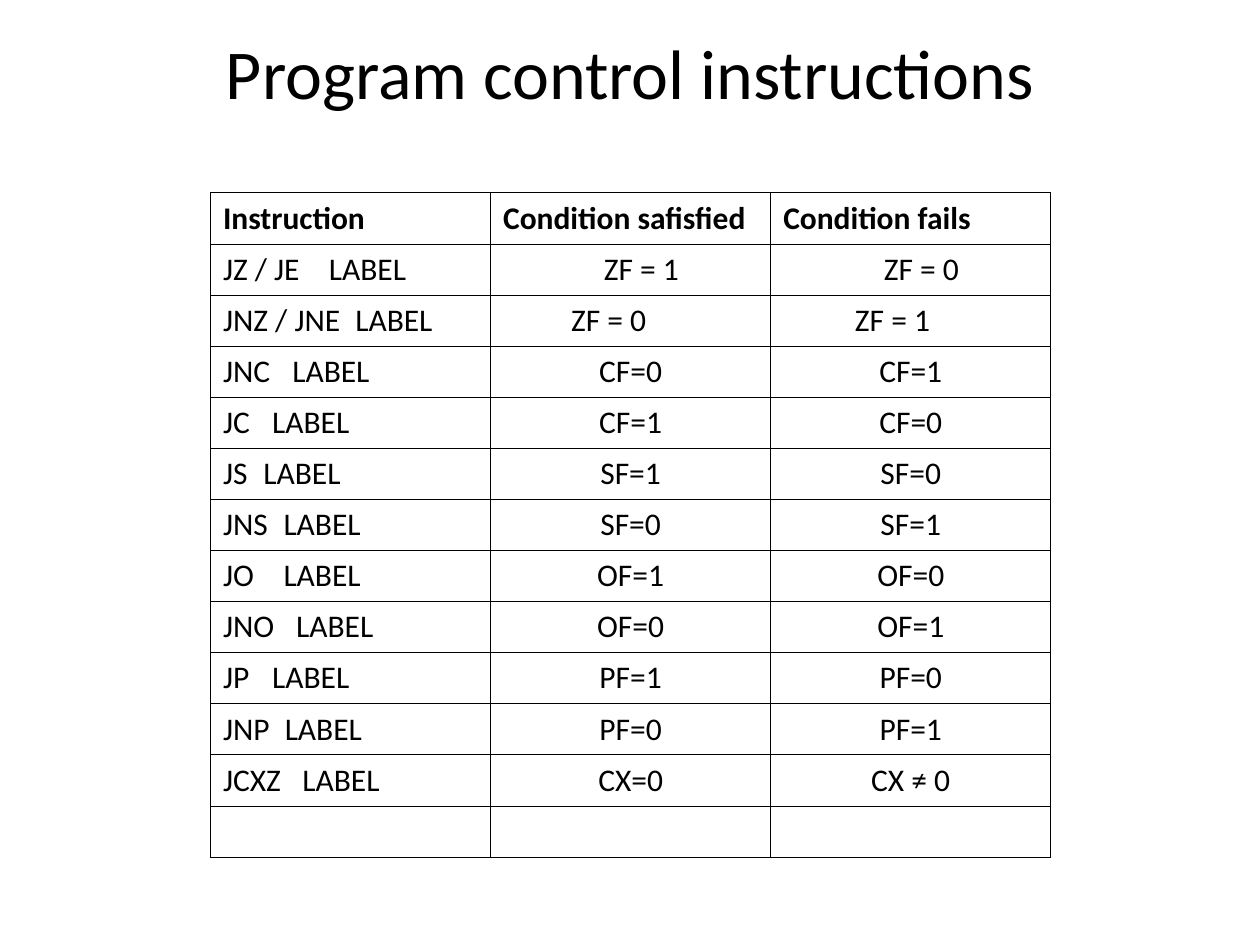
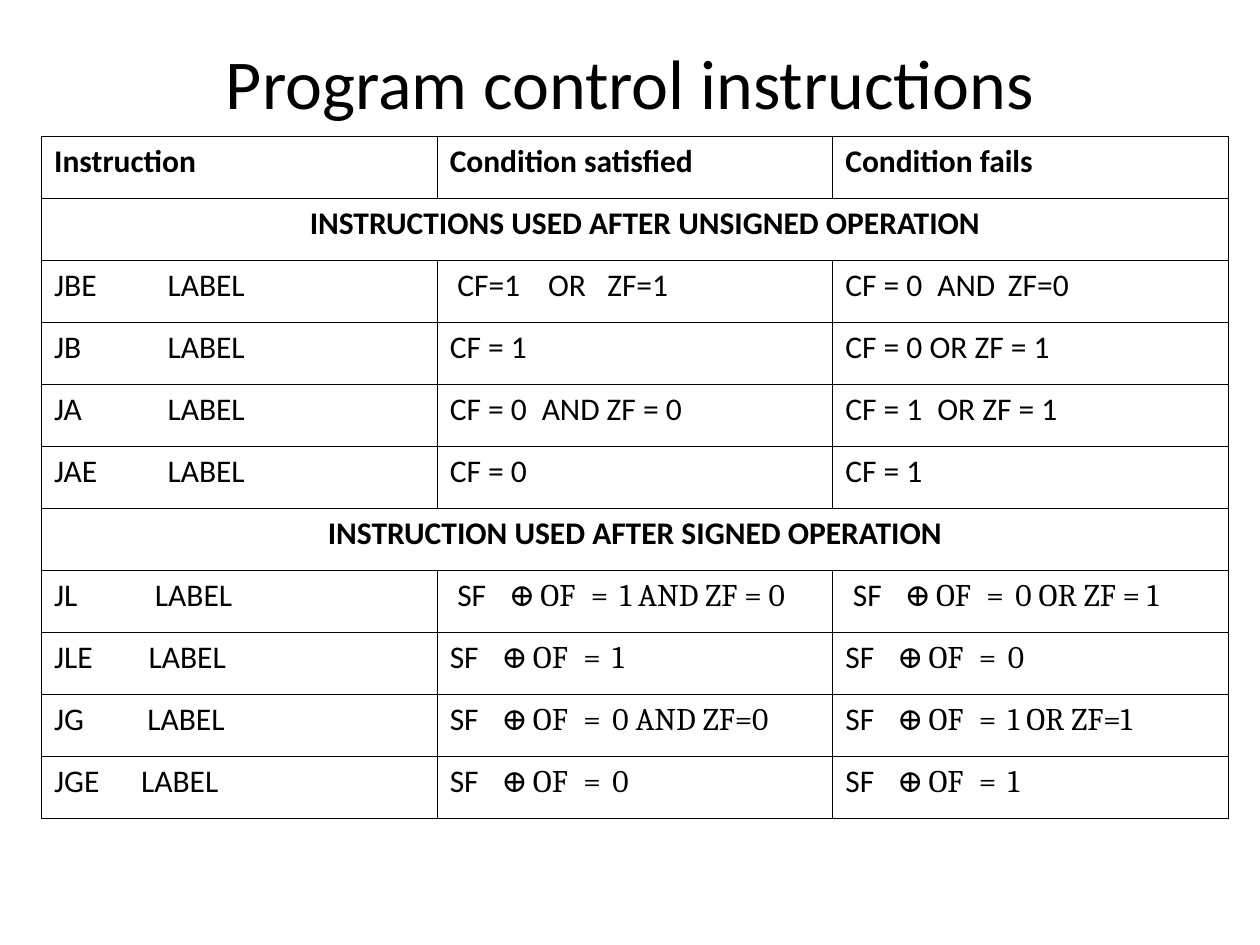
"""Build two slides of conditional jump instruction tables."""
from dataclasses import dataclass

from lxml import etree
from pptx import Presentation
from pptx import util as u
from pptx.dml.color import RGBColor
from pptx.enum import text
from pptx.oxml import ns

BLACK = RGBColor(0x00, 0x00, 0x00)
WHITE = RGBColor(0xFF, 0xFF, 0xFF)
LEFT, CENTER = text.PP_ALIGN.LEFT, text.PP_ALIGN.CENTER
XOR_STOPS = (0.41, 0.66, 1.06, 1.29)
TITLE = "Program control instructions"


@dataclass
class Entry:
    words: str
    stops: tuple = ()
    left: float = 0.1
    right: float = 0.1
    bold: bool = False
    align: int = LEFT


def write(frame, words, size=18, bold=False, align=LEFT, stops=()):
    paragraph = frame.paragraphs[0]
    paragraph.alignment = align
    if stops:
        properties = paragraph._p.get_or_add_pPr()
        tab_list = etree.SubElement(properties, ns.qn("a:tabLst"))
        for stop in stops:
            etree.SubElement(tab_list, ns.qn("a:tab"), pos=str(u.Inches(stop)), algn="l")
    plain, symbol, formula = words.partition("⊕")
    for piece, font_name in ((plain, "Calibri"), (symbol + formula, "Cambria")):
        if piece:
            run = paragraph.add_run()
            run.text = piece
            run.font.name = font_name
            run.font.size = u.Pt(size)
            run.font.bold = bold
            run.font.color.rgb = BLACK


class Deck:
    def __init__(self):
        self.presentation = Presentation()
        self.presentation.slide_width = u.Inches(10)
        self.presentation.slide_height = u.Inches(7.5)
        self.slide = None

    def add_slide(self, title, title_height):
        self.slide = self.presentation.slides.add_slide(self.presentation.slide_layouts[5])
        shape = self.slide.shapes.title
        shape.left, shape.top = u.Inches(0.5), u.Inches(0.3)
        shape.width, shape.height = u.Inches(9), u.Inches(title_height)
        frame = shape.text_frame
        frame.auto_size = text.MSO_AUTO_SIZE.NONE
        frame.vertical_anchor = text.MSO_ANCHOR.MIDDLE
        write(frame, title, size=40, align=CENTER)

    def add_table(self, rows, left, top, width, height):
        columns = len(rows[0])
        bounds = [u.Inches(length) for length in (left, top, width, height)]
        table = self.slide.shapes.add_table(len(rows), columns, *bounds).table
        table.first_row = table.horz_banding = False
        for cell in table.iter_cells():
            self.style_cell(cell)
        for row_index, row in enumerate(rows):
            if len(row) == 1:
                table.cell(row_index, 0).merge(table.cell(row_index, columns - 1))
            for column_index, entry in enumerate(row):
                self.fill_cell(table.cell(row_index, column_index), entry)

    def style_cell(self, cell):
        properties = cell._tc.get_or_add_tcPr()
        for side in ("lnL", "lnR", "lnT", "lnB"):
            line = etree.SubElement(properties, ns.qn(f"a:{side}"), w=str(u.Pt(0.45)))
            fill = etree.SubElement(line, ns.qn("a:solidFill"))
            etree.SubElement(fill, ns.qn("a:srgbClr"), val=str(BLACK))
        cell.fill.solid()
        cell.fill.fore_color.rgb = WHITE

    def fill_cell(self, cell, entry):
        cell.margin_left, cell.margin_right = u.Inches(entry.left), u.Inches(entry.right)
        cell.margin_top = cell.margin_bottom = u.Inches(0.05)
        if entry.words:
            write(cell.text_frame, entry.words, bold=entry.bold,
                  align=entry.align, stops=entry.stops)


def header(*names):
    return [Entry(name, bold=True) for name in names]


def section(words, left=0.1):
    return [Entry(words, left=left, bold=True, align=CENTER)]


def jump(mnemonic, label_stop, satisfied, fails):
    return [Entry(f"{mnemonic}\tLABEL", (label_stop,)), satisfied, fails]


def flag(words, left=0.1, right=0.1):
    return Entry(words, left=left, right=right, align=CENTER)


def xor(result, left=0.1):
    return Entry(f"SF\t⊕\tOF\t=\t{result}", XOR_STOPS, left)


def flag_rows():
    simple_jumps = [
        ("JNC", 0.55, "CF=0", "CF=1"),
        ("JC", 0.39, "CF=1", "CF=0"),
        ("JS", 0.32, "SF=1", "SF=0"),
        ("JNS", 0.48, "SF=0", "SF=1"),
        ("JO", 0.48, "OF=1", "OF=0"),
        ("JNO", 0.58, "OF=0", "OF=1"),
        ("JP", 0.39, "PF=1", "PF=0"),
        ("JNP", 0.49, "PF=0", "PF=1"),
        ("JCXZ", 0.63, "CX=0", "CX ≠ 0"),
    ]
    return [
        header("Instruction", "Condition safisfied", "Condition fails"),
        jump("JZ / JE", 0.84, flag("ZF = 1", left=0.27), flag("ZF = 0", left=0.27)),
        jump("JNZ / JNE", 1.05, flag("ZF = 0", right=0.45), flag("ZF = 1", right=0.39)),
        *[jump(mnemonic, stop, flag(satisfied), flag(fails))
          for mnemonic, stop, satisfied, fails in simple_jumps],
        [Entry("")] * 3,
    ]


def comparison_rows():
    return [
        header("Instruction", "Condition satisfied", "Condition fails"),
        section("INSTRUCTIONS USED AFTER UNSIGNED OPERATION", left=0.26),
        jump("JBE", 0.9, Entry("CF=1\tOR\tZF=1", (0.72, 1.19), left=0.16),
             Entry("CF = 0\tAND\tZF=0", (0.73, 1.29))),
        jump("JB", 0.9, Entry("CF = 1"), Entry("CF = 0 OR ZF = 1")),
        jump("JA", 0.9, Entry("CF = 0\tAND ZF = 0", (0.73,)),
             Entry("CF = 1\tOR ZF = 1", (0.73,))),
        jump("JAE", 0.9, Entry("CF = 0"), Entry("CF = 1")),
        section("INSTRUCTION USED AFTER SIGNED OPERATION"),
        jump("JL", 0.8, xor("1 AND ZF = 0", left=0.16), xor("0 OR ZF = 1", left=0.16)),
        jump("JLE", 0.75, xor("1"), xor("0")),
        jump("JG", 0.74, xor("0 AND ZF=0"), xor("1 OR ZF=1")),
        jump("JGE", 0.69, xor("0"), xor("1")),
    ]


def main():
    deck = Deck()
    deck.add_slide(TITLE, title_height=0.53)
    deck.add_table(flag_rows(), 1.67, 1.53, 6.67, 5.27)
    deck.add_slide(TITLE, title_height=0.7)
    deck.add_table(comparison_rows(), 0.33, 1.08, 9.42, 5.42)
    deck.presentation.save("out.pptx")


if __name__ == "__main__":
    main()
